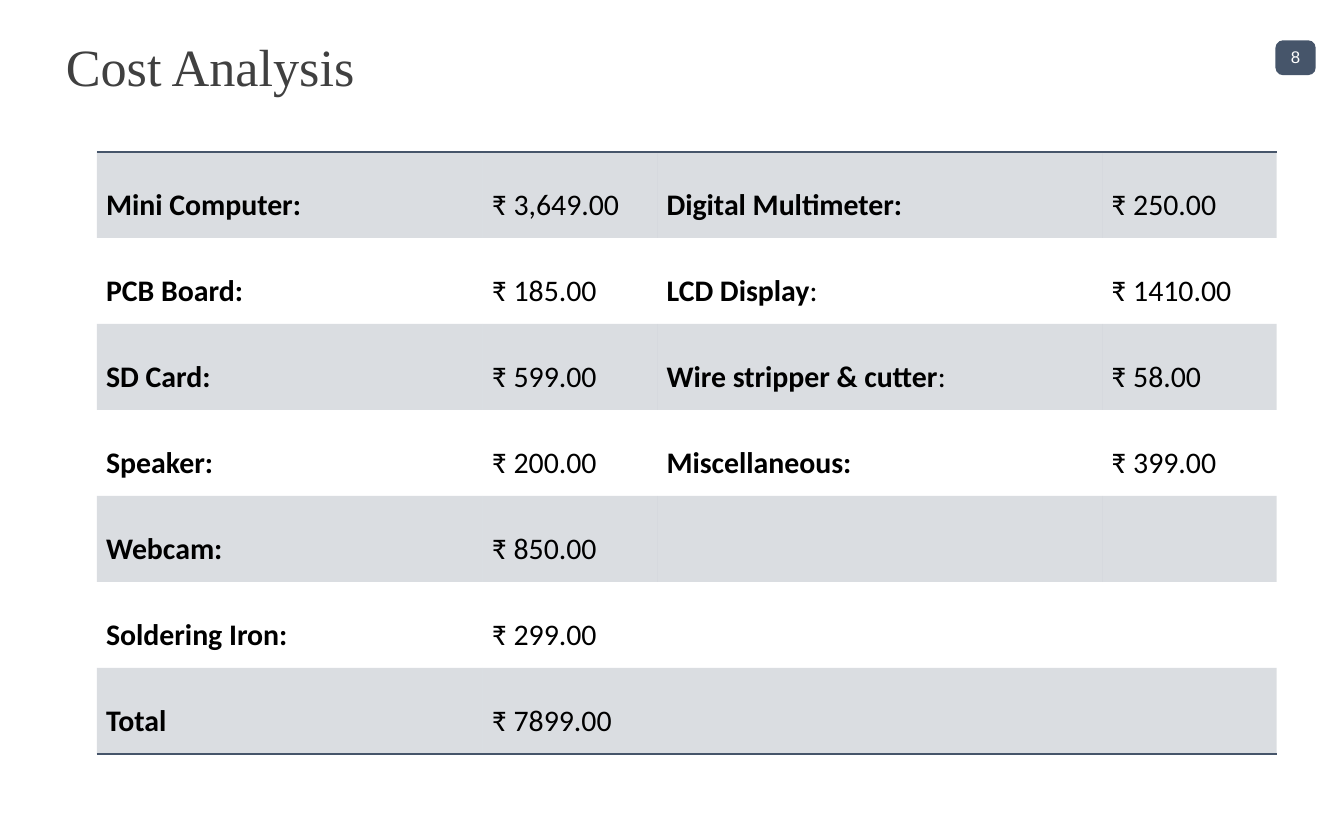
from lxml.etree import SubElement
from pptx import Presentation
from pptx.dml.color import RGBColor
from pptx.enum.shapes import MSO_SHAPE
from pptx.enum.text import MSO_ANCHOR, PP_ALIGN
from pptx.oxml import parse_xml
from pptx.oxml.ns import nsdecls, qn
from pptx.util import Inches, Pt

TITLE = "Cost Analysis"
PAGE = "8"
SLATE = "46556A"
COSTS = [
    ("Mini Computer:", "₹ 3,649.00", "Digital Multimeter:", "₹ 250.00"),
    ("PCB Board:", "₹ 185.00", ("LCD Display", ":"), "₹ 1410.00"),
    ("SD Card:", "₹ 599.00", ("Wire stripper & cutter", ":"), "₹ 58.00"),
    ("Speaker:", "₹ 200.00", "Miscellaneous:", "₹ 399.00"),
    ("Webcam:", "₹ 850.00", "", ""),
    ("Soldering Iron:", "₹ 299.00", "", ""),
    ("Total", "₹ 7899.00", "", ""),
]
COLS = (2.87, 1.3, 3.31, 1.3)
ROW_H = 0.64
NO_GRID = "{2D5ABB26-0587-4C30-8999-92F81FD0307C}"


def rgb(color):
    return RGBColor.from_string(color)


def write(tf, text, size=16, font="Calibri", color="000000", bold=False,
          align=PP_ALIGN.LEFT, spacing=None, before=None):
    p = tf.paragraphs[0]
    p.alignment, p.line_spacing = align, spacing
    if before:
        p.space_before = Pt(before)
    parts = (text,) if isinstance(text, str) else text
    for i, part in enumerate(parts):
        r = p.add_run()
        r.text = part
        r.font.size, r.font.name = Pt(size), font
        r.font.bold = bold and i == 0
        r.font.color.rgb = rgb(color)


def text_box(s, box, text, margin=0, wrap=True, **fmt):
    tf = s.shapes.add_textbox(*map(Inches, box)).text_frame
    tf.word_wrap = wrap
    tf.vertical_anchor = MSO_ANCHOR.MIDDLE
    tf.margin_left = tf.margin_right = 0
    tf.margin_top = tf.margin_bottom = Inches(margin)
    write(tf, text, **fmt)


def tint(cell, color, percent):
    cell.fill.solid()
    cell.fill.fore_color.rgb = rgb(color)
    srgb = cell._tc.tcPr.find(".//" + qn("a:srgbClr"))
    SubElement(srgb, qn("a:alpha"), val=str(percent * 1000))


def rule(cell, edge, color):
    cell._tc.get_or_add_tcPr().insert(0, parse_xml(
        f'<a:{edge} {nsdecls("a")} w="12700"><a:solidFill>'
        f'<a:srgbClr val="{color}"/></a:solidFill></a:{edge}>'))


def cost_table(s, left, top):
    last = len(COSTS) - 1
    frame = s.shapes.add_table(len(COSTS), len(COLS), Inches(left), Inches(top),
                               Inches(sum(COLS)), Inches(ROW_H * len(COSTS)))
    table = frame.table
    table.first_row = table.horz_banding = False
    table._tbl.tblPr.find(qn("a:tableStyleId")).text = NO_GRID
    for column, width in zip(table.columns, COLS):
        column.width = Inches(width)
    for i, row in enumerate(COSTS):
        table.rows[i].height = Inches(ROW_H)
        for j, text in enumerate(row):
            cell = table.cell(i, j)
            cell.vertical_anchor = MSO_ANCHOR.MIDDLE
            cell.margin_left = cell.margin_right = Inches(0.07)
            cell.margin_top, cell.margin_bottom = Inches(0.02), 0
            if text:
                label = j % 2 == 0
                write(cell.text_frame, text, bold=label, spacing=1.5, before=6,
                      align=PP_ALIGN.LEFT if label else PP_ALIGN.JUSTIFY)
            if i % 2 == 0:
                tint(cell, SLATE, 20)
            if i == 0:
                rule(cell, "lnT", SLATE)
            if i == last:
                rule(cell, "lnB", SLATE)
    table.cell(last, 1).merge(table.cell(last, len(COLS) - 1))


def main():
    prs = Presentation()
    prs.slide_width, prs.slide_height = Inches(10), Inches(6.25)
    s = prs.slides.add_slide(prs.slide_layouts[6])

    badge = s.shapes.add_shape(MSO_SHAPE.ROUNDED_RECTANGLE,
                               *map(Inches, (9.49, 0.3, 0.3, 0.26)))
    badge.adjustments[0] = 0.22
    badge.shadow.inherit = False
    badge.fill.solid()
    badge.fill.fore_color.rgb = rgb(SLATE)
    badge.line.fill.background()
    text_box(s, (9.56, 0.29, 0.16, 0.27), PAGE, wrap=False, size=9,
             font="Arial", color="FFFFFF", align=PP_ALIGN.CENTER)

    text_box(s, (0.49, 0.29, 9, 0.39), TITLE, margin=0.04, size=28,
             font="Times New Roman", color="404040")
    cost_table(s, 0.72, 1.13)
    prs.save("out.pptx")


if __name__ == "__main__":
    main()
